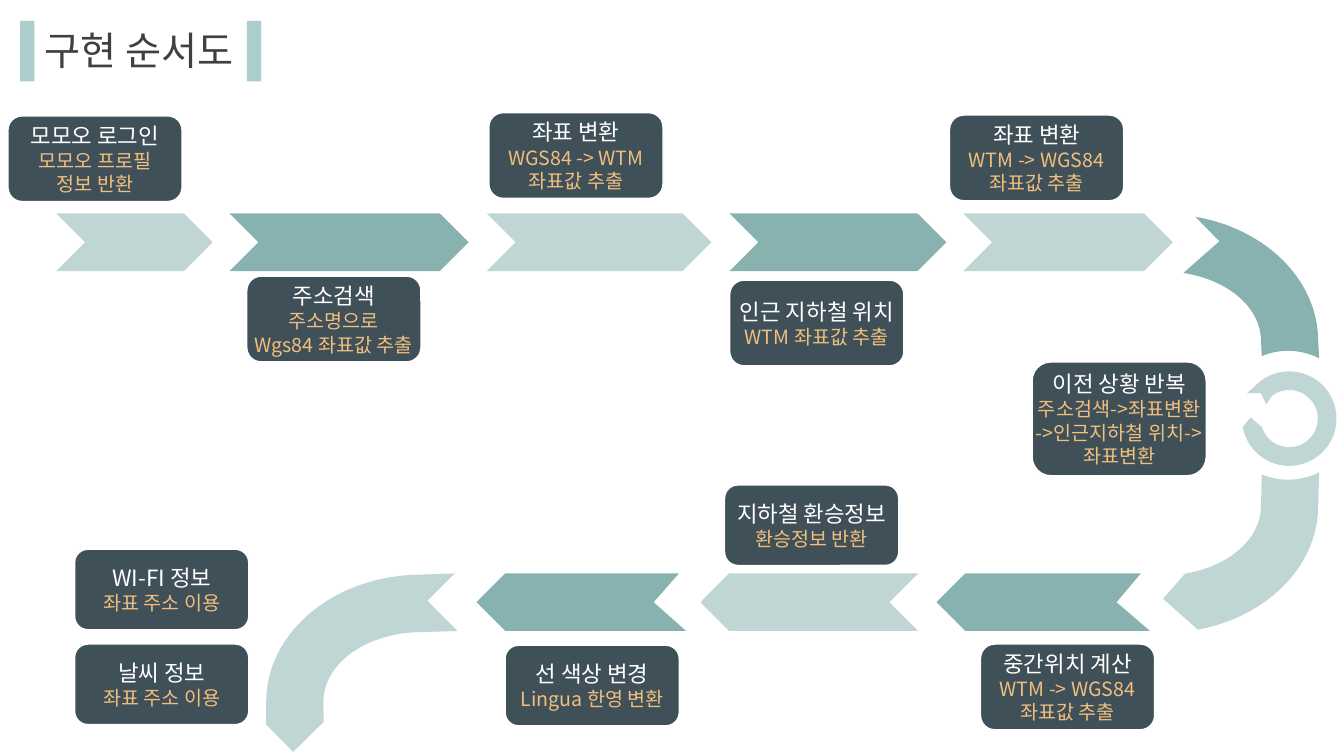
from dataclasses import dataclass
from math import cos, radians, sin

from lxml.etree import SubElement
from pptx import Presentation
from pptx.dml.color import RGBColor as RGB
from pptx.enum.shapes import MSO_SHAPE as SHAPE
from pptx.enum.text import MSO_ANCHOR as ANCHOR, PP_ALIGN as ALIGN
from pptx.oxml.ns import qn
from pptx.util import Cm, Pt


@dataclass(frozen=True)
class Theme:
    font: str = "Noto Sans CJK KR"
    title_size: int = 28
    head_size: int = 16
    detail_size: int = 14
    title: str = "404040"
    bar: str = "ABCDCC"
    pale: str = "C0D6D5"
    deep: str = "88B2B0"
    card: str = "3F5059"
    white: str = "FFFFFF"
    amber: str = "F1BF7D"


T = Theme()
CARD_W = 4.39
ARROW_H = 1.45

# left, top, height, heading, details
CARDS = [
    (0.2, 2.92, 2.16, "모모오 로그인", ["모모오 프로필", "정보 반환"]),
    (6.22, 6.96, 2.16, "주소검색", ["주소명으로", "Wgs84 좌표값 추출"]),
    (12.32, 2.84, 2.16, "좌표 변환", ["WGS84 -> WTM 좌표값 추출"]),
    (18.39, 7.06, 2.16, "인근 지하철 위치", ["WTM 좌표값 추출"]),
    (23.93, 2.9, 2.16, "좌표 변환", ["WTM -> WGS84 좌표값 추출"]),
    (26.01, 9.12, 2.87, "이전 상황 반복",
     ["주소검색->좌표변환", "->인근지하철 위치-> 좌표변환"]),
    (24.71, 16.23, 2.16, "중간위치 계산", ["WTM -> WGS84 좌표값 추출"]),
    (18.26, 12.22, 2.03, "지하철 환승정보", ["환승정보 반환"]),
    (12.73, 16.26, 2.03, "선 색상 변경", ["Lingua 한영 변환"]),
    (1.88, 13.84, 2.03, "WI-FI 정보", ["좌표 주소 이용"]),
    (1.88, 16.23, 2.03, "날씨 정보", ["좌표 주소 이용"]),
]
# left, width, colour
FORWARD = [(1.42, 3.94, T.pale), (5.79, 6.02, T.deep), (12.27, 5.66, T.pale),
           (18.39, 5.46, T.deep), (24.28, 5.28, T.pale)]
# left, width, lean of the tail, colour
BACKWARD = [(23.6, 5.38, 0.23, T.deep), (17.65, 5.49, 0, T.pale),
            (12.01, 5.28, 0.18, T.deep)]


def paint(sp, fill, line=None):
    sp.shadow.inherit = False
    sp.fill.solid()
    sp.fill.fore_color.rgb = RGB.from_string(fill)
    if line:
        sp.line.color.rgb = RGB.from_string(line)
        sp.line.width = Pt(1)
    else:
        sp.line.fill.background()


def style(p, size, color):
    """Format the runs of a paragraph, for Latin and Korean letters alike."""
    for r in p.runs:
        r.font.size = Pt(size)
        r.font.name = T.font
        r.font.color.rgb = RGB.from_string(color)
        SubElement(r.font._element, qn("a:ea")).set("typeface", T.font)


def outline(s, points, fill):
    """Draw a closed shape through points given in centimetres."""
    (x, y), *rest = [(Cm(px), Cm(py)) for px, py in points]
    fb = s.shapes.build_freeform(x, y)
    fb.add_line_segments(rest, close=True)
    paint(fb.convert_to_shape(), fill)


def arc(cx, cy, rx, ry, start, end):
    """Points of an arc with y upwards, angles in degrees."""
    n = max(2, round(abs(end - start) / 4))
    angles = [radians(start + (end - start) * i / n) for i in range(n + 1)]
    return [(cx + rx * cos(a), cy + ry * sin(a)) for a in angles]


def title(s, left, top, width, height):
    bar_w = 0.36
    for x in (left, left + width - bar_w):
        bar = s.shapes.add_shape(SHAPE.RECTANGLE, Cm(x), Cm(top), Cm(bar_w), Cm(height))
        paint(bar, T.bar)
    sp = s.shapes.title
    sp.left, sp.top = Cm(left + bar_w), Cm(top)
    sp.width, sp.height = Cm(width - 2 * bar_w), Cm(height - 0.07)
    tf = sp.text_frame
    tf.text = "구현 순서도"
    tf.word_wrap = False
    tf.vertical_anchor = ANCHOR.MIDDLE
    tf.paragraphs[0].alignment = ALIGN.LEFT
    style(tf.paragraphs[0], T.title_size, T.title)


def card(s, left, top, height, heading, details):
    """Group a rounded card with a text box that may use its full width."""
    box = Cm(left), Cm(top), Cm(CARD_W), Cm(height)
    grp = s.shapes.add_group_shape()
    paint(grp.shapes.add_shape(SHAPE.ROUNDED_RECTANGLE, *box), T.card, T.white)
    tf = grp.shapes.add_textbox(*box).text_frame
    tf.margin_left = tf.margin_right = Cm(0.02)
    tf.margin_top = tf.margin_bottom = 0
    tf.word_wrap = True
    tf.vertical_anchor = ANCHOR.MIDDLE
    tf.text = "\n".join([heading, *details])
    for i, p in enumerate(tf.paragraphs):
        p.alignment = ALIGN.CENTER
        style(p, *((T.detail_size, T.amber) if i else (T.head_size, T.white)))


def forward_arrow(s, left, top, width, fill):
    right, tip = left + width, ARROW_H / 2
    outline(s, [(left, top), (right - tip, top), (right, top + tip),
                (right - tip, top + ARROW_H), (left, top + ARROW_H),
                (left + tip, top + tip)], fill)


def backward_arrow(s, left, top, width, lean, fill):
    right, tip = left + width, ARROW_H / 2
    outline(s, [(left + tip, top), (right - lean, top),
                (right - lean / 2 - tip, top + tip), (right, top + ARROW_H),
                (left + tip, top + ARROW_H), (left, top + tip)], fill)


def bend(s, cx, cy, flip_x, flip_y, start, foot, mouth, fill):
    """Quarter turn about a centre; foot and mouth shape its two ends."""
    points = (arc(0, 0, 3.91, 3.2, start, 0) + foot
              + arc(0, 0, 2.47, 1.75, 0, start) + mouth)
    outline(s, [(cx + flip_x * x, cy - flip_y * y) for x, y in points], fill)


def hollow_foot(leg):
    """End of a bend that follows the round of the loop."""
    return arc(3.15, -leg, 1.73, 1.73, 63, 112.5)


def loop_arrow(s, cx, cy, fill):
    points = (arc(0, 0, 1.19, 1.19, 138, -170) + [(-0.97, 0.03)]
              + arc(0, 0, 0.72, 0.72, -162, 127)
              + [(-0.58, 0.36), (-0.71, 0.64), (-1.07, 0.64)])
    outline(s, [(cx + x, cy - y) for x, y in points], fill)


def flow(s):
    for left, width, fill in FORWARD:
        forward_arrow(s, left, 5.38, width, fill)
    bend(s, 29.31, 8.59, 1, 1, 78, hollow_foot(1.98), [(1.42, 2.51)], T.deep)
    loop_arrow(s, 32.49, 10.55, T.pale)
    bend(s, 29.31, 12.75, 1, -1, 77, hollow_foot(2.39), [(0, 2.34)], T.pale)
    for left, width, lean, fill in BACKWARD:
        backward_arrow(s, left, 14.45, width, lean, fill)
    bend(s, 10.62, 17.68, -1, 1, 90,
         [(3.91, -0.58), (3.23, -1.27), (2.46, -0.51)],
         [(-0.91, 1.78), (-0.15, 2.54), (-0.84, 3.23)], T.pale)


def main():
    prs = Presentation()
    prs.slide_width, prs.slide_height = Cm(33.87), Cm(19.05)
    s = prs.slides.add_slide(prs.slide_layouts[5])
    title(s, 0.51, 0.53, 6.07, 1.52)
    flow(s)
    for box in CARDS:
        card(s, *box)
    prs.save("out.pptx")


if __name__ == "__main__":
    main()
